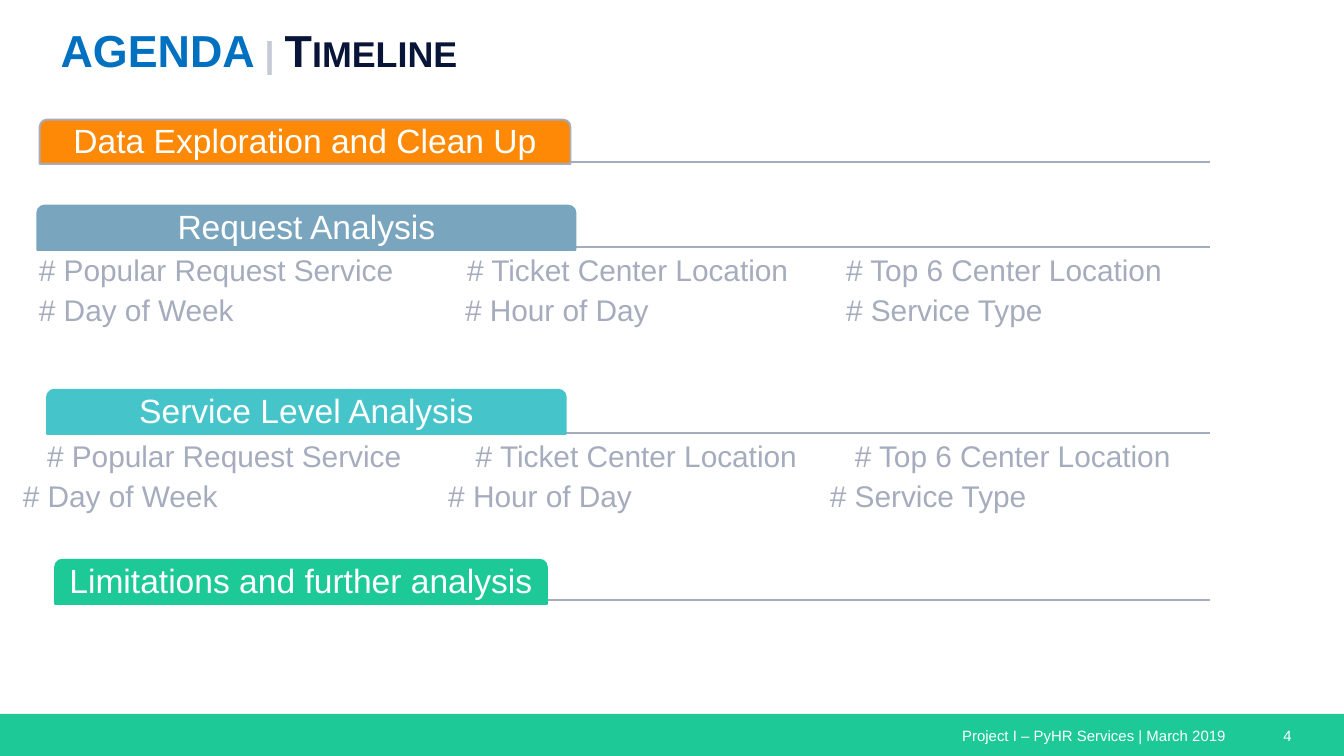
from lxml.etree import SubElement
from pptx import Presentation
from pptx.dml.color import RGBColor
from pptx.enum.shapes import MSO_CONNECTOR, MSO_SHAPE
from pptx.enum.text import MSO_ANCHOR, PP_ALIGN
from pptx.oxml.ns import qn
from pptx.util import Inches, Pt

# The grid has 100 columns and 56.25 rows, all of them 0.1 inch.
CELL = Inches(0.1)
COLS, ROWS = 100, 56.25
LINE_END = 90
TAB_HEIGHT = 3.3
FOOTER_TOP = 53.13
FONT = "Arial"
WHITE, GREY, GREEN = "FFFFFF", "A5ACBD", "1CC997"

# label, left, top, width, fill, outline, row of the rule
SECTIONS = [
    ("Data Exploration and Clean Up", 2.95, 8.9, 39.5, "FD8907", GREY, 12.05),
    ("Request Analysis", 2.77, 15.3, 40.05, "79A5BF", "79A5BF", 18.37),
    ("Service Level Analysis", 3.5, 29, 38.6, "45C4CA", "45C4CA", 32.2),
    ("Limitations and further analysis", 4.1, 41.65, 36.6, GREEN, GREEN, 44.65),
]
TOPICS = [
    ["# Popular Request Service", "# Ticket Center Location", "# Top 6 Center Location"],
    ["# Day of Week", "# Hour of Day", "# Service Type"],
]
# top of each topic list, then the column starts of its two lines
TOPIC_LISTS = [
    (18.4, [(1.3, 33.15, 61.35), (1.3, 33, 61.35)]),
    (32.25, [(1.9, 33.8, 62), (0.1, 31.75, 60.15)]),
]


def cells(*counts):
    return [round(n * CELL) for n in counts]


def color(value):
    return RGBColor.from_string(value)


def style(font, size, value):
    font.name, font.size = FONT, Pt(size)
    font.color.rgb = color(value)


def set_margins(tf, inches):
    tf.margin_left = tf.margin_right = Inches(inches)
    tf.margin_top = tf.margin_bottom = Inches(inches)


def add_box(s, left, top, width, height):
    tf = s.shapes.add_textbox(*cells(left, top, width, height)).text_frame
    tf.word_wrap = True
    tf.vertical_anchor = MSO_ANCHOR.TOP
    return tf


def add_shape(s, kind, left, top, width, height, fill, outline=None):
    sp = s.shapes.add_shape(kind, *cells(left, top, width, height))
    sp.shadow.inherit = False
    sp.fill.solid()
    sp.fill.fore_color.rgb = color(fill)
    if outline:
        sp.line.color.rgb = color(outline)
        sp.line.width = Pt(1)
    else:
        sp.line.fill.background()
    return sp


def add_rule(s, left, row):
    line = s.shapes.add_connector(
        MSO_CONNECTOR.STRAIGHT, *cells(left, row, LINE_END, row))
    line.line.color.rgb = color(GREY)
    line.line.width = Pt(1)
    SubElement(line._element.spPr, qn("a:effectLst"))


def add_section(s, label, left, top, width, fill, outline, rule_row):
    add_rule(s, left, rule_row)
    sp = add_shape(s, MSO_SHAPE.ROUND_2_SAME_RECTANGLE,
                   left, top, width, TAB_HEIGHT, fill, outline)
    tf = sp.text_frame
    set_margins(tf, 0.04)
    tf.vertical_anchor = MSO_ANCHOR.MIDDLE
    p = tf.paragraphs[0]
    p.text = label
    p.alignment = PP_ALIGN.CENTER
    p.line_spacing = 0.9
    style(p.font, 18, WHITE)


def set_tab_stops(p, stops):
    tabs = SubElement(p._p.get_or_add_pPr(), qn("a:tabLst"))
    for stop in cells(*stops):
        SubElement(tabs, qn("a:tab"), pos=str(stop), algn="l")


def add_topics(s, top, line_stops):
    """Two lines of topics, each topic starting at a tab stop."""
    tf = add_box(s, 1.3, top, 91.9, 9)
    set_margins(tf, 0.03)
    for i, (topics, stops) in enumerate(zip(TOPICS, line_stops)):
        p = tf.add_paragraph() if i else tf.paragraphs[0]
        p.text = "".join("\t" + topic for topic in topics)
        p.space_after = Pt(2.4)
        set_tab_stops(p, stops)
        style(p.font, 16, GREY)


def add_title(s):
    p = add_box(s, 3.53, 1.2, 58, 5.3).paragraphs[0]
    for text, value in [("AGENDA ", "0070C0"), ("| ", "C6CAD5"), ("Timeline", "081538")]:
        r = p.add_run()
        r.text = text
        style(r.font, 24, value)
        r.font.bold = True
        r.font._element.set("cap", "small")


def add_footer(s):
    add_shape(s, MSO_SHAPE.RECTANGLE, 0, FOOTER_TOP, COLS, ROWS - FOOTER_TOP, GREEN)
    for text, left, width in [("Project I – PyHR Services | March 2019", 70.6, 23.2),
                              ("4", 94.5, 5.5)]:
        p = add_box(s, left, 53.6, width, 2.4).paragraphs[0]
        p.text = text
        style(p.font, 8, WHITE)


def main():
    prs = Presentation()
    prs.slide_width, prs.slide_height = cells(COLS, ROWS)
    s = prs.slides.add_slide(prs.slide_layouts[6])
    add_footer(s)
    for section in SECTIONS:
        add_section(s, *section)
    for top, line_stops in TOPIC_LISTS:
        add_topics(s, top, line_stops)
    add_title(s)
    prs.save("out.pptx")


if __name__ == "__main__":
    main()
